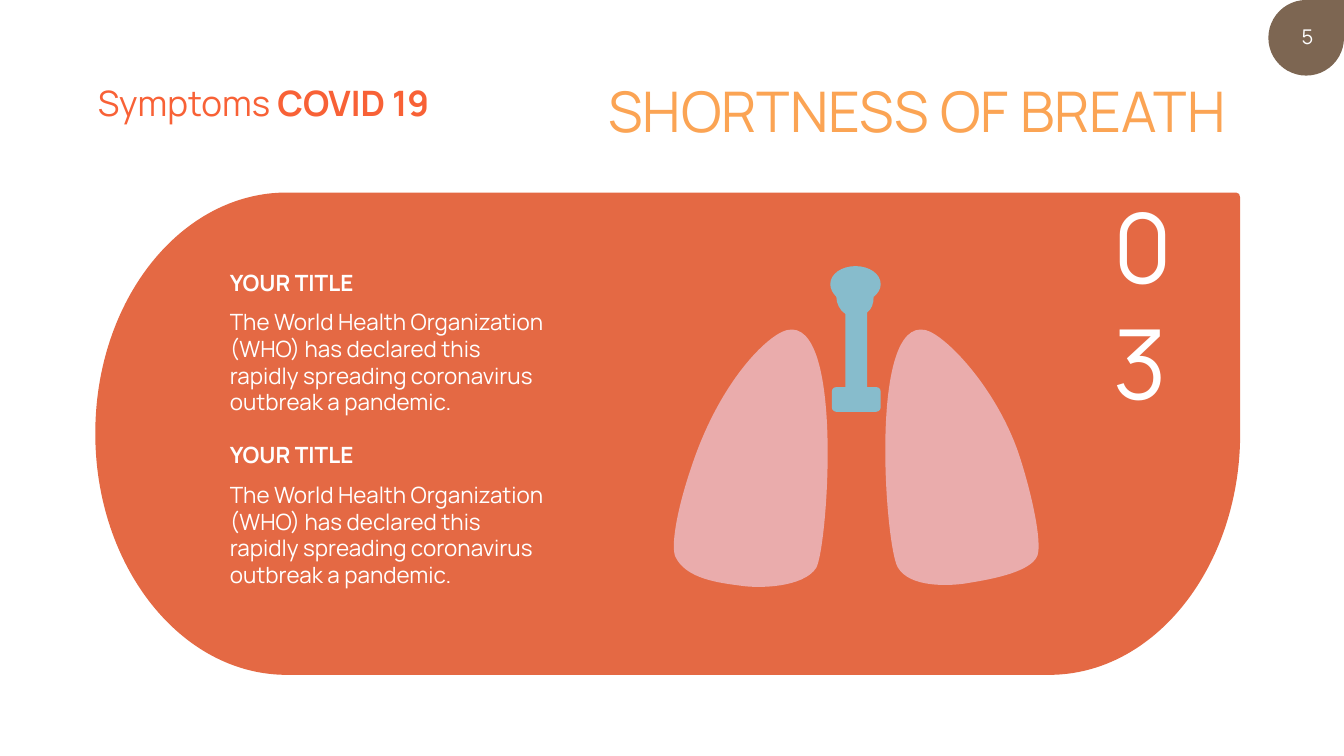
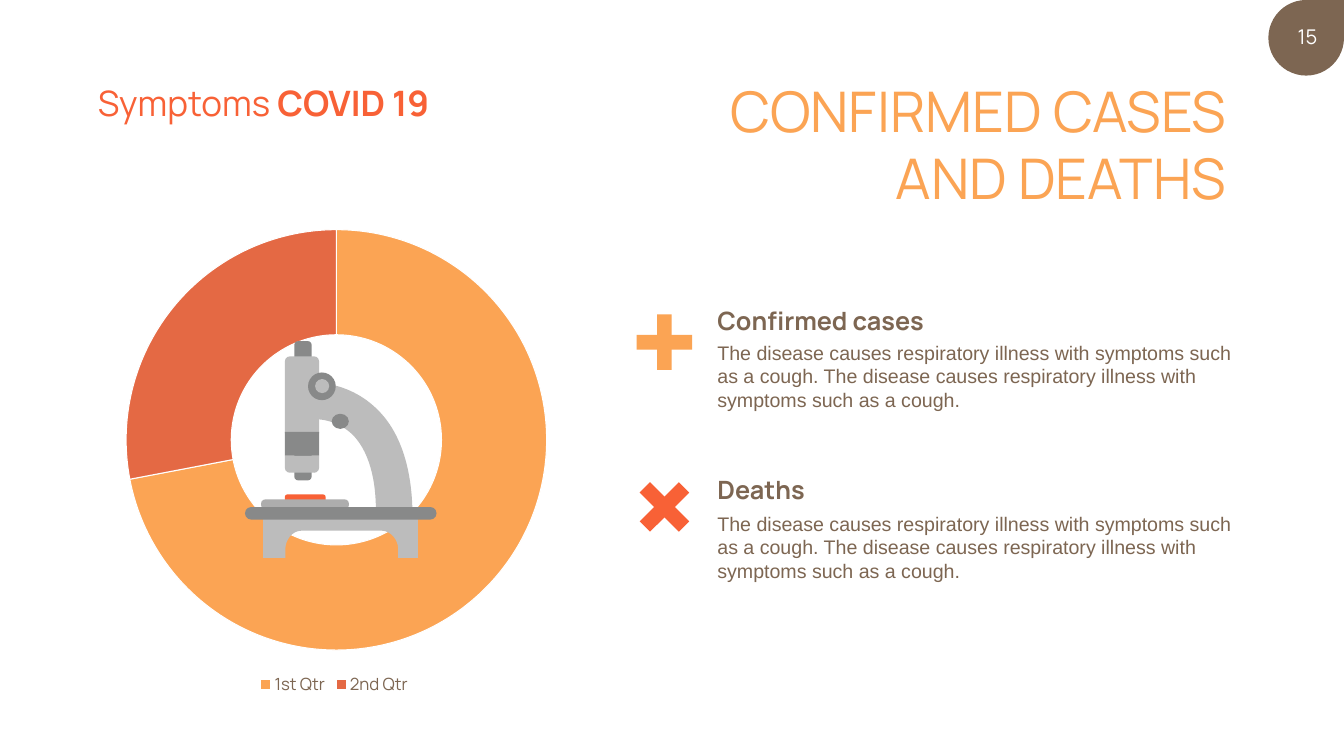
from lxml import etree
from pptx import Presentation
from pptx.chart.data import CategoryChartData
from pptx.dml.color import RGBColor
from pptx.enum.chart import XL_CHART_TYPE, XL_LEGEND_POSITION
from pptx.enum.shapes import MSO_SHAPE
from pptx.enum.text import MSO_ANCHOR, MSO_AUTO_SIZE, PP_ALIGN
from pptx.oxml.ns import qn
from pptx.util import Cm, Pt

RECT, ROUNDED, OVAL = MSO_SHAPE.RECTANGLE, MSO_SHAPE.ROUNDED_RECTANGLE, MSO_SHAPE.OVAL
ROUND_TOP, TEAR = MSO_SHAPE.ROUND_2_SAME_RECTANGLE, MSO_SHAPE.TEAR
LEFT, CENTER, RIGHT = PP_ALIGN.LEFT, PP_ALIGN.CENTER, PP_ALIGN.RIGHT
DOUGHNUT, BOTTOM = XL_CHART_TYPE.DOUGHNUT, XL_LEGEND_POSITION.BOTTOM
TOP, NO_FIT = MSO_ANCHOR.TOP, MSO_AUTO_SIZE.NONE

COLORS = {
    "white": "FFFFFF", "brown": "7D6652", "amber": "FBA454", "red": "F86136",
    "rust": "E46944", "pink": "EAACAC", "blue": "87BCCC",
    "light": "BCBCBC", "mid": "ADADAD", "dark": "888989",
}
FONT = "Manrope"
GRID = 2.54  # centimetres per layout unit
COMPARISON_LAYOUT = 4

# Text formats
TITLE = {"size": Pt(80), "name": FONT, "bold": False, "color": "amber"}
TOPIC = {"size": Pt(50), "name": FONT, "bold": False, "color": "red"}
TOPIC_BOLD = {**TOPIC, "bold": True}
PAGE = {"size": Pt(29), "name": FONT, "color": "white"}
NUMERAL = {"size": Pt(138), "name": FONT, "color": "white"}
CARD_BODY = {"size": Pt(32), "name": FONT, "bold": False, "color": "white"}
CARD_HEAD = {**CARD_BODY, "bold": True}
CASE_HEAD = {"size": Pt(36), "name": FONT, "bold": True, "color": "brown"}
CASE_BODY = {"size": Pt(28), "name": "Arial", "bold": False, "color": "brown"}
CHART_TEXT = {"size": Pt(20), "name": FONT, "color": "brown"}
LEGEND_TEXT = {**CHART_TEXT, "size": Pt(24)}

WHO_TEXT = ("The World Health Organization (WHO) has declared this rapidly "
            "spreading coronavirus outbreak a pandemic.")
CASE_TEXT = " ".join(["The disease causes respiratory illness with symptoms such as a cough."] * 2)

# Outlines: a start point, then lines (x, y) and curves (two handles and an end)
PANEL = [(20.81, 13.39), (5.69, 13.39),
         (3.59, 13.39, 1.89, 11.24, 1.89, 8.6), (1.89, 5.95, 3.59, 3.82, 5.69, 3.82),
         (24.52, 3.82), (24.57, 3.82, 24.6, 3.86, 24.6, 3.92),
         (24.6, 8.6), (24.6, 11.24, 22.91, 13.39, 20.81, 13.39)]
LEFT_LUNG = [(15.61, 6.55), (15.23, 6.64, 14.27, 7.57, 13.71, 9.28),
             (13.48, 9.95, 13.3, 10.75, 13.39, 11.03),
             (13.59, 11.5, 14.32, 11.57, 14.68, 11.62),
             (15.05, 11.68, 15.93, 11.66, 16.19, 11.27),
             (16.42, 10.86, 16.75, 6.28, 15.61, 6.55)]
RIGHT_LUNG = [(20.2, 8.98), (19.74, 7.66, 18.74, 6.64, 18.36, 6.55),
              (17.22, 6.28, 17.56, 10.86, 17.81, 11.26),
              (18.04, 11.65, 18.77, 11.63, 19.13, 11.58),
              (19.5, 11.52, 20.45, 11.38, 20.58, 11.02),
              (20.67, 10.75, 20.47, 9.79, 20.2, 8.98)]
TRACHEA = [(17.47, 5.64), (17.47, 5.43, 17.24, 5.28, 16.97, 5.28),
           (16.7, 5.28, 16.47, 5.43, 16.47, 5.64), (16.47, 5.73, 16.52, 5.82, 16.59, 5.89),
           (16.59, 6.02, 16.66, 6.16, 16.77, 6.23), (16.77, 7.79),
           (16.77, 7.9, 16.86, 7.99, 16.97, 7.99), (17.09, 7.99, 17.2, 7.9, 17.2, 7.79),
           (17.2, 6.2), (17.29, 6.14, 17.33, 6.02, 17.33, 5.89),
           (17.42, 5.82, 17.47, 5.73, 17.47, 5.64)]
FEET = [(5.22, 10.21), (5.22, 11.07), (5.66, 11.07), (5.66, 10.9),
        (5.66, 10.71, 5.8, 10.53, 5.98, 10.53), (7.57, 10.53),
        (7.75, 10.53, 7.9, 10.71, 7.9, 10.9), (7.9, 11.07), (8.29, 11.07), (8.29, 10.21)]
ARM = [(8.18, 10.42), (7.45, 10.38), (7.49, 9.62, 7.35, 9.01, 7.02, 8.65),
       (6.7, 8.32, 6.3, 8.32, 6.3, 8.32), (6.3, 7.6),
       (6.34, 7.6, 6.99, 7.6, 7.53, 8.17), (7.99, 8.65, 8.21, 9.44, 8.18, 10.42)]


def grid(*units):
    return [Cm(unit * GRID) for unit in units]


def rgb(color):
    return RGBColor.from_string(COLORS[color])


def apply_format(font, text_format):
    for key, value in text_format.items():
        if key == "color":
            font.color.rgb = rgb(value)
        else:
            setattr(font, key, value)


# Shapes
def paint(shape, color):
    shape.shadow.inherit = False
    shape.fill.solid()
    shape.fill.fore_color.rgb = rgb(color)
    shape.line.fill.background()
    return shape


def add_preset(slide, preset, box, color, corner=None, rotation=0):
    shape = paint(slide.shapes.add_shape(preset, *grid(*box)), color)
    if corner is not None:
        shape.adjustments[0] = corner
    shape.rotation = rotation
    return shape


def add_outline(slide, outline, color):
    """Draw the points and handles as lines, then bend each triple into a curve."""
    start, *parts = outline
    nodes = [grid(*part[i:i + 2]) for part in parts for i in range(0, len(part), 2)]
    builder = slide.shapes.build_freeform(*grid(*start), scale=1.0)
    builder.add_line_segments(nodes, close=True)
    shape = paint(builder.convert_to_shape(), color)
    lines = iter(list(shape.element.iter(qn("a:lnTo"))))
    for part in parts:
        segment = next(lines)
        if len(part) == 6:
            segment.tag = qn("a:cubicBezTo")
            for _ in range(2):
                extra = next(lines)
                segment.append(extra[0])
                extra.getparent().remove(extra)
    return shape


# Text
def write(shape, box, paragraphs, align=LEFT):
    """Place a text shape and fill it; a paragraph is a list of (text, format)."""
    shape.left, shape.top, shape.width, shape.height = grid(*box)
    frame = shape.text_frame
    settings = {"word_wrap": True, "auto_size": NO_FIT, "vertical_anchor": TOP}
    for key, value in settings.items():
        setattr(frame, key, value)
    for number, runs in enumerate(paragraphs):
        paragraph = frame.add_paragraph() if number else frame.paragraphs[0]
        if shape.is_placeholder:
            properties = paragraph._p.get_or_add_pPr()
            properties.set("marL", "0")
            properties.set("indent", "0")
            etree.SubElement(properties, qn("a:buNone"))
        paragraph.alignment = align
        paragraph.space_before = Pt(0)
        for text, text_format in runs:
            run = paragraph.add_run()
            run.text = text
            apply_format(run.font, text_format)


def add_text(slide, box, runs, align=LEFT):
    write(slide.shapes.add_textbox(*grid(*box)), box, [runs], align)


def add_slide(prs, page, title_lines, title_box):
    slide = prs.slides.add_slide(prs.slide_layouts[COMPARISON_LAYOUT])
    write(slide.shapes.title, title_box, [[(line, TITLE)] for line in title_lines], RIGHT)
    add_preset(slide, TEAR, (25.16, 0, 1.5, 1.5), "brown")
    add_text(slide, (25.33, 0.44, 1.21, 0.71), [(page, PAGE)], CENTER)
    add_text(slide, (1.78, 1.56, 6.9, 0.94),
             [("Symptoms ", TOPIC), ("COVID 19", TOPIC_BOLD)], CENTER)
    return slide


def fill_pair(slide, first, head, head_box, body, body_box, formats):
    """Fill a heading placeholder and the body placeholder after it."""
    holders = {holder.placeholder_format.idx: holder for holder in slide.placeholders}
    write(holders[first], head_box, [[(head, formats[0])]])
    write(holders[first + 1], body_box, [[(body, formats[1])]])


# Illustrations
def draw_lungs(slide):
    add_preset(slide, ROUNDED, (16.5, 7.68, 0.97, 0.49), "blue", 0.18)
    add_outline(slide, LEFT_LUNG, "pink")
    add_outline(slide, RIGHT_LUNG, "pink")
    add_outline(slide, TRACHEA, "blue")


def draw_microscope(slide):
    add_preset(slide, ROUNDED, (5.65, 9.81, 0.81, 0.15), "red", 0.35)
    add_preset(slide, ROUNDED, (5.18, 9.91, 1.74, 0.19), "mid", 0.4)
    add_outline(slide, FEET, "light")
    add_preset(slide, ROUNDED, (5.84, 6.77, 0.34, 2.76), "dark", 0.2)
    add_outline(slide, ARM, "light")
    add_preset(slide, ROUNDED, (4.86, 10.06, 3.8, 0.25), "dark", 0.5)
    add_preset(slide, OVAL, (6.58, 8.21, 0.34, 0.3), "dark")
    # Barrel, objective and collar
    add_preset(slide, ROUND_TOP, (5.65, 7.07, 0.68, 1.53), "light", 0.15)
    add_preset(slide, ROUND_TOP, (5.65, 9.04, 0.68, 0.34), "light", 0.29, 180)
    add_preset(slide, RECT, (5.65, 8.57, 0.68, 0.47), "dark")
    # Focus knob
    add_preset(slide, OVAL, (6.11, 7.39, 0.55, 0.55), "dark")
    add_preset(slide, OVAL, (6.25, 7.52, 0.28, 0.28), "light")


def draw_cross(slide, center_y, color, rotation=0, center_x=13.18):
    for width, height in ((0.29, 1.1), (1.1, 0.29)):
        box = (center_x - width / 2, center_y - height / 2, width, height)
        add_preset(slide, RECT, box, color, rotation=rotation)


# Chart
def add_ring_chart(slide):
    data = CategoryChartData()
    data.categories = ["1st Qtr", "2nd Qtr"]
    data.add_series("Series 1", (72, 28))
    chart = slide.shapes.add_chart(DOUGHNUT, *grid(2.33, 4.25, 8.6, 9.63), data).chart
    chart.has_title = False
    apply_format(chart.font, CHART_TEXT)
    chart.has_legend = True
    chart.legend.position = BOTTOM
    chart.legend.include_in_layout = False
    apply_format(chart.legend.font, LEGEND_TEXT)
    plot = chart.plots[0]
    plot.vary_by_categories = True
    for number, color in enumerate(("amber", "rust")):
        slice_format = plot.series[0].points[number].format
        slice_format.fill.solid()
        slice_format.fill.fore_color.rgb = rgb(color)
        slice_format.line.color.rgb = rgb("white")
        slice_format.line.width = Pt(1.5)
    # Hole size and ring position
    for hole in chart.element.iter(qn("c:holeSize")):
        hole.set("val", "75")
    plot_area = next(chart.element.iter(qn("c:plotArea")))
    for layout in plot_area.findall(qn("c:layout")):
        plot_area.remove(layout)
    layout = etree.Element(qn("c:layout"))
    manual = etree.SubElement(layout, qn("c:manualLayout"))
    settings = {"layoutTarget": "inner", "xMode": "edge", "yMode": "edge",
                "x": "0.02", "y": "0.03", "w": "0.97", "h": "0.87"}
    for key, value in settings.items():
        etree.SubElement(manual, qn(f"c:{key}")).set("val", value)
    plot_area.insert(0, layout)


def build_breath_slide(prs):
    slide = add_slide(prs, "5", ["SHORTNESS OF BREATH"], (11.02, 1.47, 13.4, 1.45))
    panel = add_outline(slide, PANEL, "rust").element
    panel.getparent().insert(2, panel)  # behind the text
    for first, top in ((1, 5.28), (3, 8.71)):
        fill_pair(slide, first, "YOUR TITLE", (4.46, top, 6.59, 0.64),
                  WHO_TEXT, (4.46, top + 0.78, 6.59, 2.26), (CARD_HEAD, CARD_BODY))
    add_text(slide, (21.98, 3.66, 2.39, 2.42), [("03", NUMERAL)])
    draw_lungs(slide)


def build_cases_slide(prs):
    slide = add_slide(prs, "15", ["CONFIRMED CASES", "AND DEATHS"], (13.76, 1.47, 10.67, 2.79))
    cases = ((1, "Confirmed cases", 6, 6.71, 10.67), (3, "Deaths", 9.36, 10.1, 10.52))
    for first, head, head_top, body_top, width in cases:
        fill_pair(slide, first, head, (14.13, head_top, 5.87, 0.71),
                  CASE_TEXT, (14.13, body_top, width, 1.51), (CASE_HEAD, CASE_BODY))
    draw_cross(slide, 6.79, "amber")
    draw_cross(slide, 10.06, "red", 45)
    add_ring_chart(slide)
    draw_microscope(slide)


def main():
    prs = Presentation()
    prs.slide_width, prs.slide_height = grid(26.66, 15)
    build_breath_slide(prs)
    build_cases_slide(prs)
    prs.save("out.pptx")


if __name__ == "__main__":
    main()
